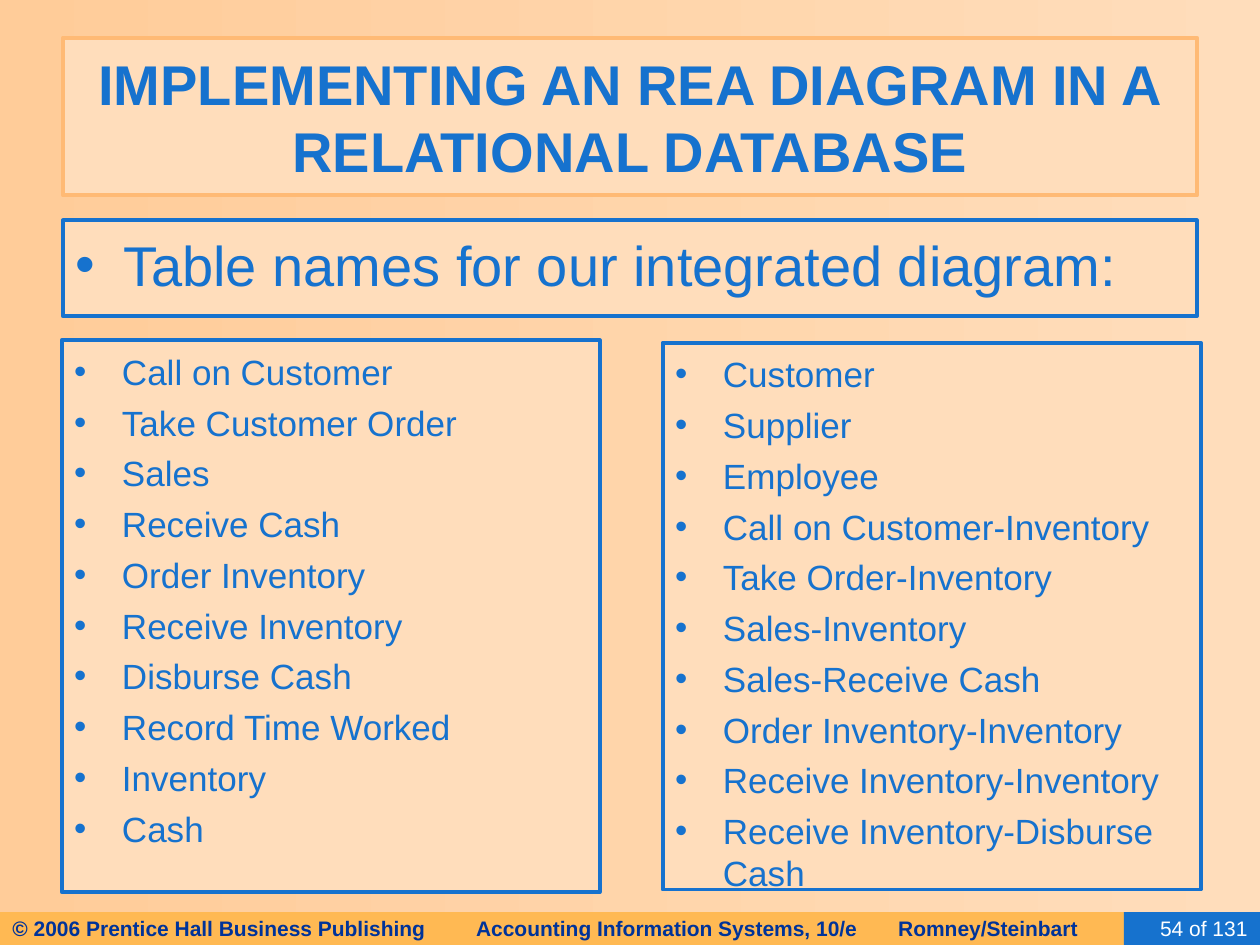
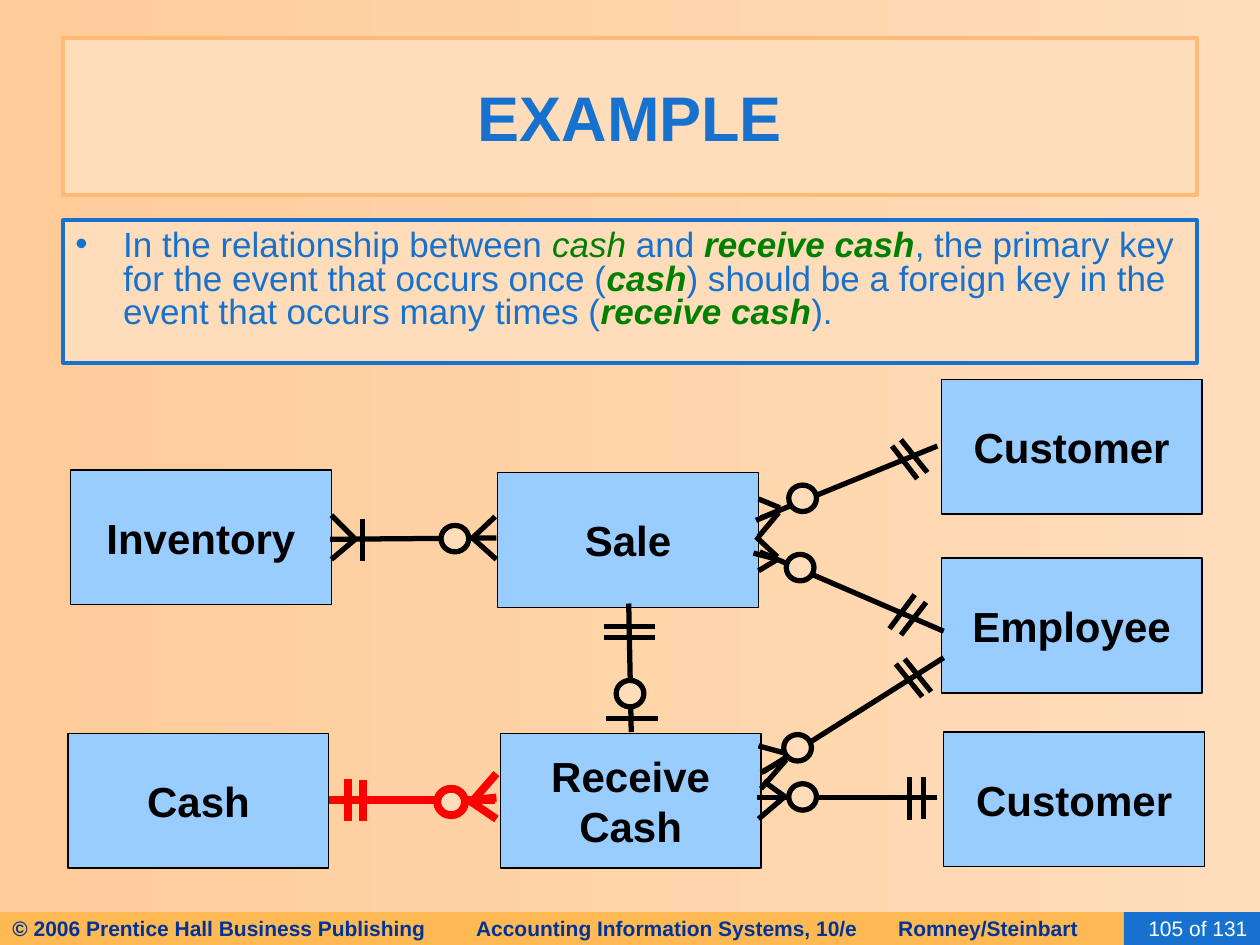
from lxml.etree import SubElement
from pptx import Presentation
from pptx.dml.color import RGBColor
from pptx.enum.shapes import MSO_CONNECTOR, MSO_SHAPE
from pptx.enum.text import MSO_ANCHOR, PP_ALIGN
from pptx.oxml.ns import qn
from pptx.util import Inches, Pt

BLUE = RGBColor(0x16, 0x72, 0xCE)
NAVY = RGBColor(0x00, 0x33, 0x99)
PEACH = RGBColor(0xFF, 0xDD, 0xBB)
DEEP_PEACH = RGBColor(0xFF, 0xCC, 0x99)
TITLE_EDGE = RGBColor(0xFF, 0xBA, 0x75)
FOOTER_ORANGE = RGBColor(0xFF, 0xB9, 0x53)
ENTITY_BLUE = RGBColor(0x99, 0xCC, 0xFF)
GREEN = RGBColor(0x00, 0x80, 0x00)
BLACK = RGBColor(0x00, 0x00, 0x00)
WHITE = RGBColor(0xFF, 0xFF, 0xFF)
RED = RGBColor(0xFF, 0x00, 0x00)


def add_box(slide, at, fill, edge=None, weight=0, preset=MSO_SHAPE.RECTANGLE):
    box = slide.shapes.add_shape(preset, *[Inches(length) for length in at])
    box.shadow.inherit = False
    box.fill.solid()
    box.fill.fore_color.rgb = fill
    if edge is None:
        box.line.fill.background()
    else:
        box.line.color.rgb = edge
        box.line.width = Pt(weight)
    box.text_frame.word_wrap = True
    box.text_frame.vertical_anchor = MSO_ANCHOR.MIDDLE
    return box


def write(paragraph, text, size, color, align=PP_ALIGN.LEFT, **styles):
    paragraph.alignment = align
    run = paragraph.add_run()
    run.text = text
    run.font.color.rgb = color
    for attribute, value in {"name": "Arial", "size": Pt(size), **styles}.items():
        setattr(run.font, attribute, value)


presentation = Presentation()
presentation.slide_width = Inches(10)
presentation.slide_height = Inches(7.5)

# Background, footer and title of each slide
pages = [
    ("IMPLEMENTING AN REA DIAGRAM IN A RELATIONAL DATABASE", 32, "54 of 131"),
    ("EXAMPLE", 36, "105 of 131"),
]
slides = []
for title, title_size, page_number in pages:
    slide = presentation.slides.add_slide(presentation.slide_layouts[6])
    slides.append(slide)
    background = slide.background.fill
    background.gradient()
    background.gradient_angle = 180
    for stop, color in zip(background.gradient_stops, (PEACH, DEEP_PEACH)):
        stop.color.rgb = color

    footer = add_box(slide, (0, 7.24, 9.25, 0.26), FOOTER_ORANGE).text_frame.paragraphs[0]
    tabs = SubElement(footer._p.get_or_add_pPr(), qn("a:tabLst"))
    for position in (3.68, 7.03):
        SubElement(tabs, qn("a:tab"), pos=str(Inches(position)), algn="l")
    write(footer, "© 2006 Prentice Hall Business Publishing\t"
          "Accounting Information Systems, 10/e\tRomney/Steinbart", 12, NAVY, bold=True)

    number_box = add_box(slide, (8.92, 7.24, 1.08, 0.26), BLUE)
    write(number_box.text_frame.paragraphs[0], page_number, 12, WHITE, PP_ALIGN.RIGHT)

    title_box = add_box(slide, (0.5, 0.3, 9, 1.25), PEACH, TITLE_EDGE, 2.5)
    write(title_box.text_frame.paragraphs[0], title, title_size, BLUE,
          PP_ALIGN.CENTER, bold=True)

table_slide, example_slide = slides

# Bulleted panels: each bullet is a list of (text, colour, styles)
event_tables = [
    "Call on Customer", "Take Customer Order", "Sales", "Receive Cash",
    "Order Inventory", "Receive Inventory", "Disburse Cash",
    "Record Time Worked", "Inventory", "Cash",
]
other_tables = [
    "Customer", "Supplier", "Employee", "Call on Customer-Inventory",
    "Take Order-Inventory", "Sales-Inventory", "Sales-Receive Cash",
    "Order Inventory-Inventory", "Receive Inventory-Inventory",
    "Receive Inventory-Disburse Cash",
]
plain = {}
term = {"italic": True}
key_term = {"bold": True, "italic": True}
foreign_key_rule = [
    ("In the relationship between ", BLUE, plain),
    ("cash", GREEN, term),
    (" and ", BLUE, plain),
    ("receive cash", GREEN, key_term),
    (", the primary key for the event that occurs once (", BLUE, plain),
    ("cash", GREEN, key_term),
    (") should be a foreign key in the event that occurs many times (", BLUE, plain),
    ("receive cash", GREEN, key_term),
    (").", BLUE, plain),
]
panels = [
    (table_slide, (0.5, 1.75, 9, 0.76), 32, 1.0,
     [[("Table names for our integrated diagram:", BLUE, plain)]]),
    (table_slide, (0.49, 2.7, 4.27, 4.38), 20, 1.0,
     [[(name, BLUE, plain)] for name in event_tables]),
    (table_slide, (5.26, 2.72, 4.27, 4.34), 20, 1.0,
     [[(name, BLUE, plain)] for name in other_tables]),
    (example_slide, (0.5, 1.75, 9, 1.13), 20, 0.8, [foreign_key_rule]),
]
for slide, at, size, line_spacing, bullets in panels:
    panel = add_box(slide, at, PEACH, BLUE, 2.25).text_frame
    panel.vertical_anchor = MSO_ANCHOR.TOP
    panel.margin_top = Inches(0.08)
    for index, bullet in enumerate(bullets):
        paragraph = panel.add_paragraph() if index else panel.paragraphs[0]
        properties = paragraph._p.get_or_add_pPr()
        properties.set("marL", str(Inches(0.38)))
        properties.set("indent", str(-Inches(0.38)))
        SubElement(properties, qn("a:buFont"), typeface="Arial")
        SubElement(properties, qn("a:buChar"), char="•")
        paragraph.line_spacing = line_spacing
        if index:
            paragraph.space_before = Pt(5)
        for text, color, styles in bullet:
            write(paragraph, text, size, color, **styles)

# Entities of the example diagram
entities = [
    ("Sale", 3.95, 3.75), ("Receive\nCash", 3.97, 5.82),
    ("Inventory", 0.56, 3.73), ("Cash", 0.54, 5.82),
    ("Customer", 7.47, 3.01), ("Employee", 7.47, 4.43), ("Customer", 7.49, 5.81),
]
for name, left, top in entities:
    entity = add_box(example_slide, (left, top, 2.07, 1.07), ENTITY_BLUE, BLACK, 0.75).text_frame
    entity.word_wrap = False
    for index, word in enumerate(name.split("\n")):
        paragraph = entity.add_paragraph() if index else entity.paragraphs[0]
        write(paragraph, word, 24, BLACK, PP_ALIGN.CENTER, bold=True)

# Relationships: colour, weight, link and "one" bars, "zero" circle, "many" prongs
relationships = [
    # Sale to Receive Cash
    (BLACK, 3,
     [(4.99, 4.79, 5.01, 5.81), (4.79, 4.97, 5.2, 4.97), (4.79, 5.06, 5.2, 5.06),
      (4.81, 5.7, 5.22, 5.7)],
     (4.89, 5.4), []),
    # Inventory to Sale
    (BLACK, 3,
     [(2.62, 4.28, 3.94, 4.27), (2.88, 4.12, 2.88, 4.45)],
     (3.5, 4.17),
     [(3.93, 4.1, 3.75, 4.27), (3.94, 4.44, 3.75, 4.27),
      (2.81, 4.27, 2.63, 4.09), (2.63, 4.44, 2.82, 4.28)]),
    # Cash to Receive Cash
    (RED, 4.5,
     [(2.61, 6.35, 3.93, 6.35), (2.76, 6.18, 2.76, 6.52), (2.88, 6.19, 2.88, 6.52)],
     (3.47, 6.26),
     [(3.94, 6.33, 3.74, 6.35), (3.94, 6.14, 3.74, 6.37), (3.94, 6.5, 3.72, 6.35)]),
    # Sale to Customer
    (BLACK, 3,
     [(6.04, 4.11, 7.44, 3.54), (7.08, 3.54, 7.28, 3.8), (7.15, 3.49, 7.36, 3.75)],
     (6.26, 3.85),
     [(6.19, 4.05, 6, 4.13), (6.19, 4.03, 6.02, 3.96), (6.18, 4.07, 6.02, 4.26)]),
    # Sale to Employee
    (BLACK, 3,
     [(6.03, 4.38, 7.49, 5.01), (7.26, 4.72, 7.06, 4.99), (7.35, 4.78, 7.15, 5.04)],
     (6.24, 4.4),
     [(6.17, 4.44, 5.98, 4.39), (6, 4.26, 6.17, 4.42), (6.02, 4.53, 6.17, 4.44)]),
    # Receive Cash to Employee
    (BLACK, 3,
     [(6.05, 6.13, 7.49, 5.22), (7.11, 5.27, 7.32, 5.53), (7.18, 5.23, 7.39, 5.49)],
     (6.22, 5.83),
     [(6.04, 6.13, 6.24, 6.02), (6.24, 5.98, 6.02, 5.92), (6.24, 6.03, 6.04, 6.26)]),
    # Receive Cash to Customer
    (BLACK, 3,
     [(6.01, 6.33, 7.44, 6.33), (7.22, 6.17, 7.22, 6.51), (7.33, 6.17, 7.33, 6.5)],
     (6.26, 6.22),
     [(6.28, 6.33, 6.04, 6.33), (6.24, 6.33, 6.06, 6.2), (6.22, 6.33, 6.02, 6.5)]),
]
for color, weight, link_and_bars, circle, prongs in relationships:
    for index, ends in enumerate(link_and_bars + prongs):
        if index == len(link_and_bars):
            add_box(example_slide, (*circle, 0.22, 0.21), PEACH, color, weight, MSO_SHAPE.OVAL)
        stroke = example_slide.shapes.add_connector(
            MSO_CONNECTOR.STRAIGHT, *[Inches(length) for length in ends])
        stroke.line.color.rgb = color
        stroke.line.width = Pt(weight)
        SubElement(stroke._element.spPr, qn("a:effectLst"))
    if not prongs:
        add_box(example_slide, (*circle, 0.22, 0.21), PEACH, color, weight, MSO_SHAPE.OVAL)

presentation.save("out.pptx")
